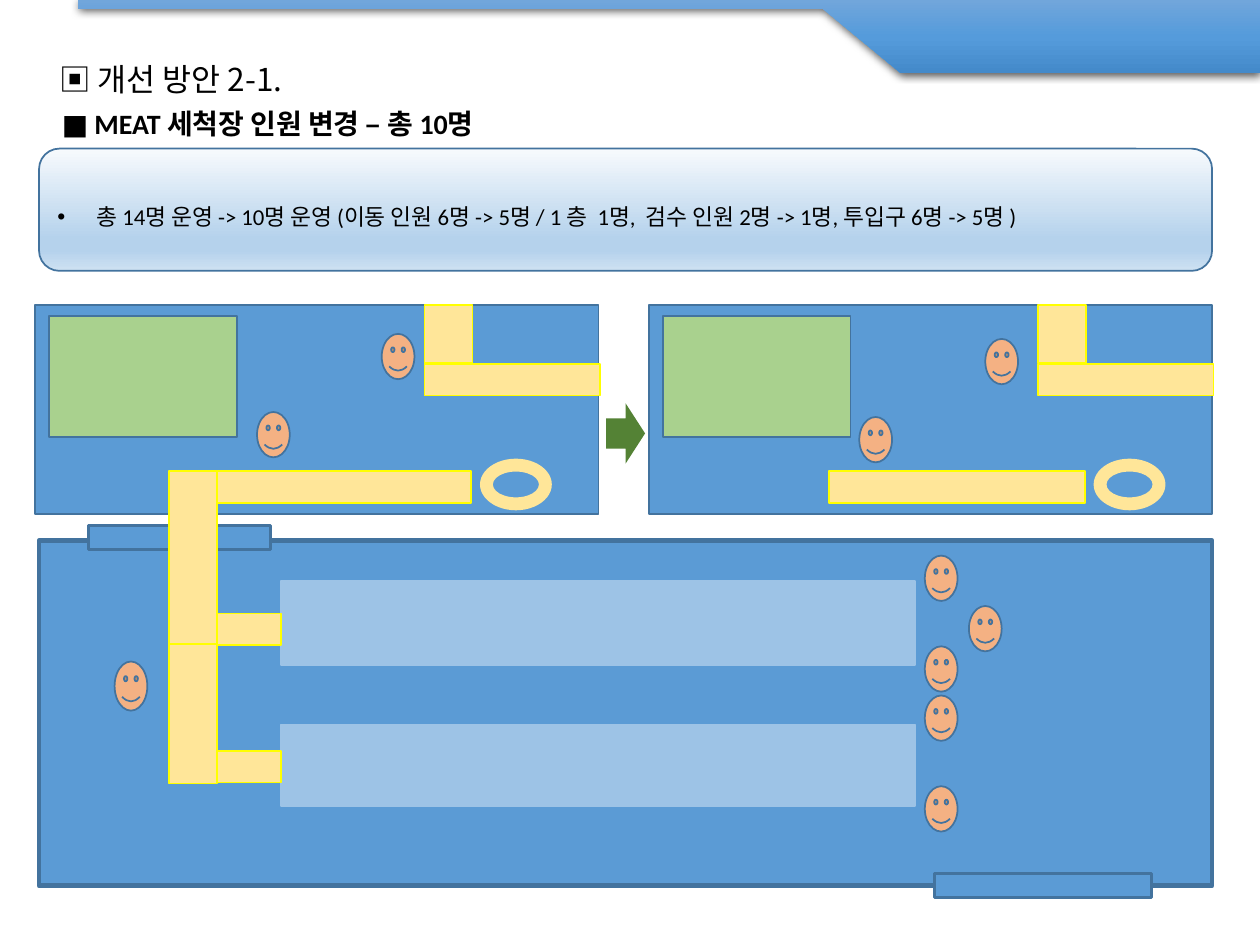
from lxml.etree import SubElement
from pptx import Presentation
from pptx.dml.color import RGBColor
from pptx.enum.shapes import MSO_SHAPE as S
from pptx.enum.text import MSO_ANCHOR, PP_ALIGN
from pptx.oxml.ns import qn
from pptx.util import Inches, Pt

BLUE = RGBColor(0x5B, 0x9B, 0xD5)
EDGE = RGBColor(0x43, 0x73, 0x9E)
PALE = RGBColor(0x9D, 0xC3, 0xE6)
GREEN = RGBColor(0xA9, 0xD1, 0x8E)
ARROW = RGBColor(0x54, 0x82, 0x35)
CREAM = RGBColor(0xFF, 0xE6, 0x99)
YELLOW = RGBColor(0xFF, 0xFF, 0x00)
SKIN = RGBColor(0xF4, 0xB1, 0x83)
BLACK = RGBColor(0, 0, 0)
LATIN, KOREAN = "Calibri", "Noto Sans CJK KR"

TITLE = "▣ 개선 방안 2-1."
HEADING = "■ MEAT 세척장 인원 변경 – 총 10명"
SUMMARY = ("총 14명 운영 -> 10명 운영 (이동 인원 6명 -> 5명 / 1 층  1명,  "
           "검수 인원 2명 -> 1명, 투입구 6명 -> 5명 )")

BANNER = [(0.62, 0), (10, 0), (10, 0.58), (7.15, 0.58), (6.53, 0.07), (0.62, 0.07)]
BANNER_STOPS = [(0, "71A6DB"), (50, "559BDB"), (100, "448ACA")]
PANEL_STOPS = [(0, "F7FAFD"), (74, "B5D2EC"), (83, "B5D2EC"), (100, "CEE1F2")]

# Each part: preset, (left, top, width, height), fill, line, line width
LOWER_FLOOR = [
    (S.RECTANGLE, (0.31, 4.29, 9.31, 2.74), BLUE, EDGE, 2.75),
    (S.RECTANGLE, (7.42, 6.93, 1.72, 0.19), BLUE, EDGE, 1.75),
    (S.RECTANGLE, (0.7, 4.17, 1.45, 0.19), BLUE, EDGE, 1.75),
    (S.RECTANGLE, (2.23, 4.61, 5.03, 0.67), PALE, PALE, 1),
    (S.RECTANGLE, (2.23, 5.75, 5.03, 0.65), PALE, PALE, 1),
    (S.RECTANGLE, (1.34, 4.29, 0.38, 1.93), CREAM, YELLOW, 1),
    (S.RECTANGLE, (1.72, 4.87, 0.51, 0.25), CREAM, YELLOW, 1),
    (S.RECTANGLE, (1.72, 5.96, 0.51, 0.25), CREAM, YELLOW, 1),
]
UPPER_FLOOR = [
    (S.RECTANGLE, (0.28, 2.42, 4.47, 1.66), BLUE, EDGE, 1),
    (S.RECTANGLE, (0.39, 2.51, 1.49, 0.96), GREEN, EDGE, 1),
    (S.RECTANGLE, (1.71, 3.74, 2.03, 0.25), CREAM, YELLOW, 1),
    (S.DONUT, (3.81, 3.64, 0.57, 0.41), CREAM, None, 0),
    (S.RECTANGLE, (3.37, 2.42, 0.38, 0.46), CREAM, YELLOW, 1),
    (S.RECTANGLE, (3.37, 2.89, 1.39, 0.25), CREAM, YELLOW, 1),
]
AFTER_SHIFT = 4.87
CHANGE_ARROW = (S.RIGHT_ARROW, (4.81, 3.2, 0.31, 0.48), ARROW, None, 0)
LIFT = (S.RECTANGLE, (1.34, 3.74, 0.38, 1.37), CREAM, YELLOW, 1)
WORKERS = [(2.04, 3.27), (3.03, 2.65), (6.82, 3.31), (7.82, 2.69), (7.34, 5.13),
           (7.69, 4.81), (7.34, 4.41), (7.34, 6.24), (7.34, 5.52)]
WORKER_SIZE = (0.26, 0.36)
LOADER = (0.91, 5.25, 0.26, 0.39)


def place(sp, left, top, width, height):
    """Set the box of a shape in inches."""
    sp.left, sp.top = Inches(left), Inches(top)
    sp.width, sp.height = Inches(width), Inches(height)


def add_part(shapes, preset, box, fill, line, weight, shift=0):
    """Add one flat preset shape, moved right by shift."""
    left, top, width, height = box
    sp = shapes.add_shape(preset, Inches(left + shift), Inches(top),
                          Inches(width), Inches(height))
    sp.shadow.inherit = False
    sp.fill.solid()
    sp.fill.fore_color.rgb = fill
    if line is None:
        sp.line.fill.background()
    else:
        sp.line.color.rgb = line
        sp.line.width = Pt(weight)
    return sp


def add_floor(shapes, parts, shift=0):
    """Add the parts of one floor plan as a group."""
    group = shapes.add_group_shape()
    for part in parts:
        add_part(group.shapes, *part, shift=shift)


def set_gradient(sp, stops):
    """Fill a shape from top to bottom with the given stops."""
    sp.fill.gradient()
    sp.fill.gradient_angle = 270
    gs_list = sp._element.spPr.find(qn("a:gradFill")).find(qn("a:gsLst"))
    for gs in list(gs_list):
        gs_list.remove(gs)
    for pos, color in stops:
        gs = SubElement(gs_list, qn("a:gs"), pos=str(pos * 1000))
        SubElement(gs, qn("a:srgbClr"), val=color)


def add_banner(shapes):
    """Draw the shaded band along the top edge."""
    points = [(Inches(x), Inches(y)) for x, y in BANNER]
    builder = shapes.build_freeform(*points[0])
    builder.add_line_segments(points[1:], close=True)
    sp = builder.convert_to_shape()
    set_gradient(sp, BANNER_STOPS)
    sp.line.fill.background()
    sp.shadow.inherit = False
    effects = sp._element.spPr.find(qn("a:effectLst"))
    shadow = SubElement(effects, qn("a:outerShdw"), blurRad=str(Pt(4.5)),
                        dist=str(Pt(1.5)), dir="5400000", rotWithShape="0")
    color = SubElement(shadow, qn("a:srgbClr"), val="000000")
    SubElement(color, qn("a:alpha"), val="63000")


def write(sp, text, size, font, spacing, anchor=MSO_ANCHOR.TOP, bold=False,
          bullet=None, wrap=True):
    """Write one left-aligned paragraph into a shape."""
    tf = sp.text_frame
    tf.word_wrap = wrap
    tf.vertical_anchor = anchor
    p = tf.paragraphs[0]
    p.alignment = PP_ALIGN.LEFT
    p.line_spacing = spacing
    p.space_before = Pt(0)
    pPr = p._p.get_or_add_pPr()
    indent = Inches(0.31) if bullet else 0
    pPr.set("marL", str(indent))
    pPr.set("indent", str(-indent))
    if bullet:
        SubElement(pPr, qn("a:buFont"), typeface="Arial")
        SubElement(pPr, qn("a:buChar"), char=bullet)
    else:
        SubElement(pPr, qn("a:buNone"))
    r = p.add_run()
    r.text = text
    r.font.size, r.font.bold, r.font.name = Pt(size), bold, font
    r.font.color.rgb = BLACK
    SubElement(r._r.get_or_add_rPr(), qn("a:ea"), typeface=KOREAN)


prs = Presentation()
prs.slide_width, prs.slide_height = Inches(10), Inches(7.5)
slide = prs.slides.add_slide(prs.slide_layouts[1])
shapes = slide.shapes
add_banner(shapes)

title, heading = shapes.title, slide.placeholders[1]
place(title, 0.37, 0.4, 2.21, 0.43)
write(title, TITLE, 18, KOREAN, 1.1, wrap=False)
place(heading, 0.39, 0.66, 4.72, 0.5)
write(heading, HEADING, 16, LATIN, 1.5, bold=True)

panel = add_part(shapes, S.ROUNDED_RECTANGLE, (0.31, 1.18, 9.31, 0.97), PALE, EDGE, 1)
set_gradient(panel, PANEL_STOPS)
write(panel, SUMMARY, 13, LATIN, 1.5, anchor=MSO_ANCHOR.MIDDLE, bullet="•")

add_floor(shapes, LOWER_FLOOR)
add_floor(shapes, UPPER_FLOOR)
add_part(shapes, *CHANGE_ARROW)
add_floor(shapes, UPPER_FLOOR, AFTER_SHIFT)
add_part(shapes, *LIFT)
for box in [spot + WORKER_SIZE for spot in WORKERS] + [LOADER]:
    add_part(shapes, S.SMILEY_FACE, box, SKIN, EDGE, 1)

prs.save("out.pptx")
